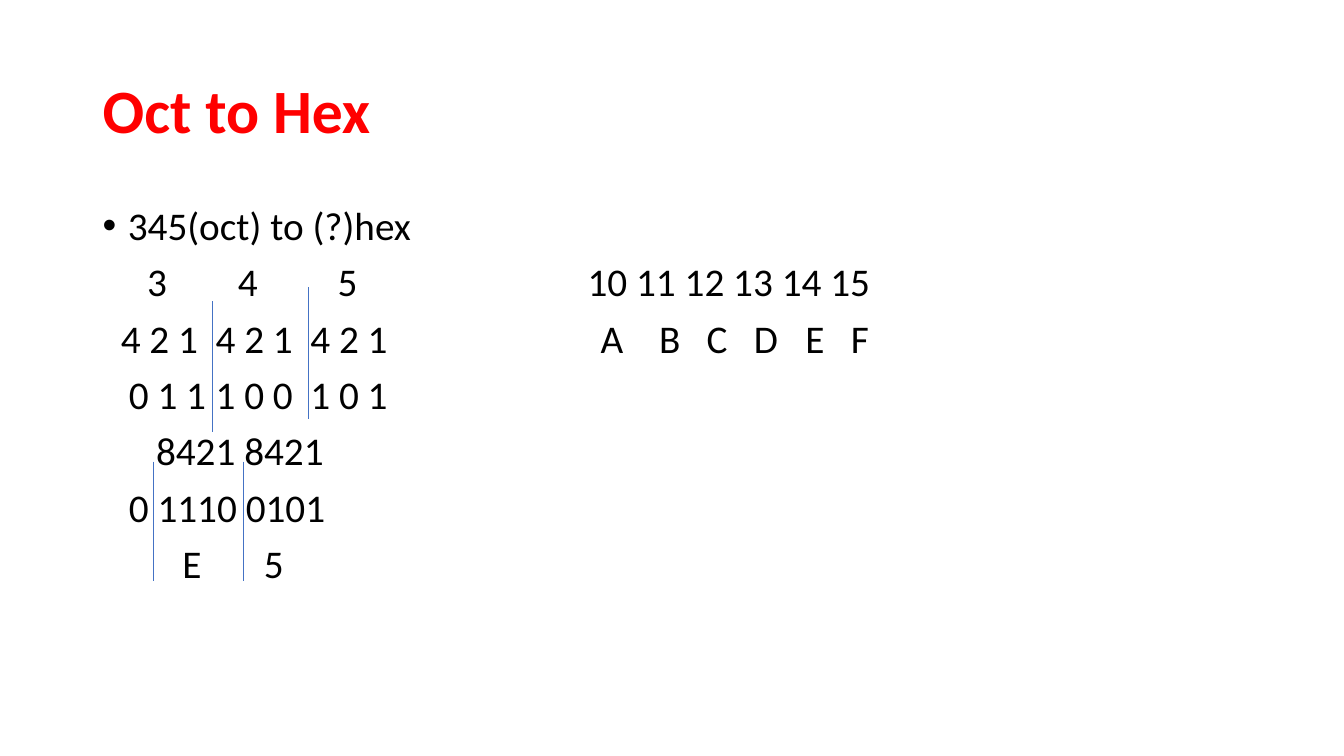
from dataclasses import dataclass

from lxml.etree import SubElement
from pptx import Presentation
from pptx.dml.color import RGBColor
from pptx.enum.shapes import MSO_CONNECTOR
from pptx.enum.text import MSO_ANCHOR
from pptx.oxml.ns import qn
from pptx.util import Inches, Pt


@dataclass(frozen=True)
class Theme:
    font: str = "Calibri"
    red: str = "FF0000"
    ink: str = "000000"
    blue: str = "4472C4"
    head: int = 44
    body: int = 28
    rule: float = 0.5


def write(para, text, font, size, color, bold=False, before=0, bullet=None, tabs=()):
    para.line_spacing = 0.9
    para.space_before = Pt(before)
    run = para.add_run()
    run.text = text
    run.font.name = font
    run.font.size = Pt(size)
    run.font.bold = bold
    run.font.color.rgb = RGBColor.from_string(color)
    props = para._p.get_or_add_pPr()
    if bullet:
        props.set("marL", str(Inches(0.25)))
        props.set("indent", str(Inches(-0.25)))
        SubElement(props, qn("a:buFont"), typeface="Arial")
        SubElement(props, qn("a:buChar"), char=bullet)
    if tabs:
        stops = SubElement(props, qn("a:tabLst"))
        for tab in tabs:
            SubElement(stops, qn("a:tab"), pos=str(Inches(tab)), algn="l")


class Deck:
    def __init__(self, slide, theme):
        self.slide = slide
        self.theme = theme

    def frame(self, left, top, width, height, anchor):
        box = self.slide.shapes.add_textbox(
            Inches(left), Inches(top), Inches(width), Inches(height))
        frame = box.text_frame
        frame.word_wrap = True
        frame.vertical_anchor = anchor
        return frame

    def title(self, text):
        frame = self.frame(0.92, 0.4, 11.5, 1.45, MSO_ANCHOR.MIDDLE)
        look = self.theme
        write(frame.paragraphs[0], text, look.font, look.head, look.red, bold=True)

    def body(self, lead, rows):
        frame = self.frame(0.92, 2, 11.5, 4.76, MSO_ANCHOR.TOP)
        look = self.theme
        style = dict(font=look.font, size=look.body, color=look.ink, before=10)
        write(frame.paragraphs[0], lead, bullet="•", **style)
        for row in rows:
            text = "".join("\t" + cell for cell in row.values())
            write(frame.add_paragraph(), text, tabs=row.keys(), **style)

    def rule(self, x, top, end):
        line = self.slide.shapes.add_connector(
            MSO_CONNECTOR.STRAIGHT, Inches(x), Inches(top), Inches(x), Inches(end))
        line.line.color.rgb = RGBColor.from_string(self.theme.blue)
        line.line.width = Pt(self.theme.rule)
        SubElement(line._element.spPr, qn("a:effectLst"))


show = Presentation()
show.slide_width = Inches(13.33)
show.slide_height = Inches(7.5)
deck = Deck(show.slides.add_slide(show.slide_layouts[6]), Theme())

deck.title("Oct to Hex")
weights = "4 2 1"
deck.body("345(oct) to (?)hex", [
    {0.44: "3", 1.34: "4", 2.33: "5", 4.81: "10 11 12 13 14 15"},
    {0.18: weights, 1.12: weights, 2.06: weights,
     4.94: "A", 5.52: "B", 5.99: "C", 6.46: "D", 6.97: "E", 7.42: "F"},
    {0.26: "0 1 1", 1.12: "1 0 0", 2.06: "1 0 1"},
    {0.53: "8421 8421"},
    {0.26: "0 1110 0101"},
    {0.79: "E", 1.6: "5"},
])
for x, top, end in [
    (2.41, 4.58, 5.76),
    (1.52, 4.58, 5.76),
    (3.06, 2.85, 4.16),
    (2.11, 2.99, 4.29),
]:
    deck.rule(x, top, end)

show.save("out.pptx")
